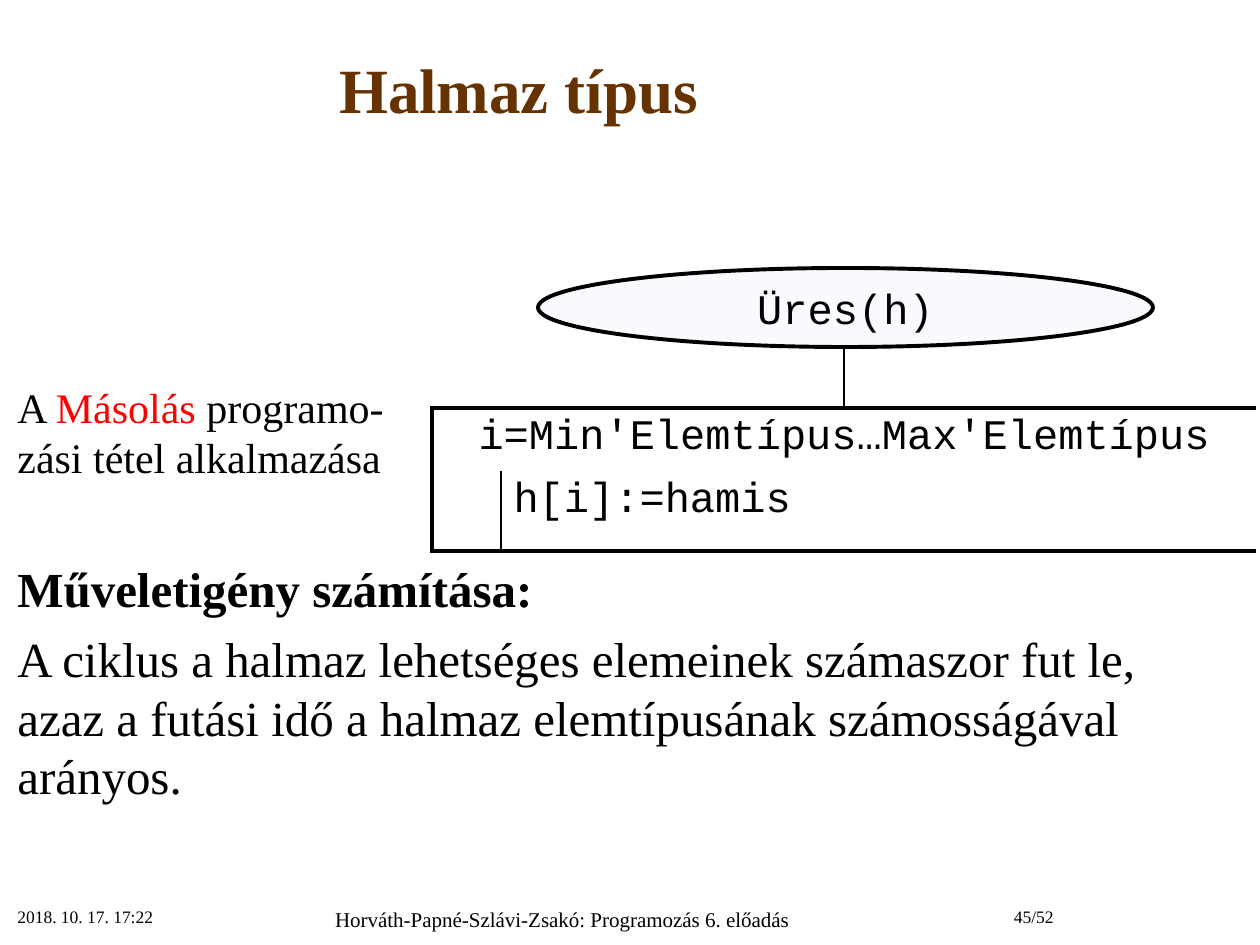
from lxml.etree import SubElement
from pptx import Presentation
from pptx.dml.color import RGBColor
from pptx.enum.shapes import MSO_SHAPE
from pptx.enum.text import MSO_ANCHOR, PP_ALIGN
from pptx.oxml.ns import qn
from pptx.util import Emu, Pt

SCALE = 914400 // 126
SERIF, MONO = "Times New Roman", "Courier New"
BLACK, RED, BROWN = "000000", "FF0000", "663300"
LEFT, CENTER, RIGHT = PP_ALIGN.LEFT, PP_ALIGN.CENTER, PP_ALIGN.RIGHT

TITLE = ("Halmaz típus", (0, 11, 1037, 154), 36, CENTER)
FOOTERS = [
    ("2018. 10. 17. 17:22", (5, 900, 262, 45), 10, LEFT),
    ("Horváth-Papné-Szlávi-Zsakó: Programozás 6. előadás", (267, 900, 591, 45), 12, CENTER),
    ("45/52", (906, 900, 160, 45), 10, RIGHT),
]
BODY_BOX = (5, 375, 1231, 440)
BODY = [
    ([("A ", BLACK), ("Másolás ", RED), ("programo-\vzási tétel alkalmazása", BLACK)], 24, False, 0),
    ([("Műveletigény számítása:", BLACK)], 28, True, 44),
    ([("A ciklus a halmaz lehetséges elemeinek számaszor fut le, azaz a futási idő "
       "a halmaz elemtípusának számosságával arányos.", BLACK)], 28, False, 6),
]
PROCEDURE = ("Üres(h)", (538, 268, 615, 79))
LOOP_ORIGIN = (432, 345)
LOOP_COLUMNS = [69, 343, 412]
LOOP_ROWS = [63, 63, 80]
LOOP_MERGES = [((0, 0), (0, 1)), ((1, 0), (1, 2)), ((2, 1), (2, 2))]
LOOP_TEXTS = {(1, 0): ("i=Min'Elemtípus…Max'Elemtípus", CENTER), (2, 1): ("h[i]:=hamis", LEFT)}
THIN, THICK = 1, 2.25
LOOP_BORDERS = {
    (0, 0): {"R": THIN, "B": THICK},
    (0, 1): {"R": THIN, "B": THICK},
    (0, 2): {"L": THIN, "B": THICK},
    (1, 0): {"L": THICK, "T": THICK},
    (1, 1): {"T": THICK},
    (1, 2): {"T": THICK, "R": THICK},
    (2, 0): {"L": THICK, "R": THIN, "B": THICK},
    (2, 1): {"L": THIN, "B": THICK},
    (2, 2): {"R": THICK, "B": THICK},
}


def px(*lengths):
    return [Emu(length * SCALE) for length in lengths]


def color(value):
    return RGBColor.from_string(value)


def style(font, size, name=SERIF, ink=BLACK, bold=False):
    font.size, font.name, font.bold = Pt(size), name, bold
    font.color.rgb = color(ink)


def add_label(slide, label, ink=BLACK, bold=False, anchor=MSO_ANCHOR.TOP):
    text, box, size, align = label
    frame = slide.shapes.add_textbox(*px(*box)).text_frame
    frame.word_wrap, frame.vertical_anchor = True, anchor
    frame.text = text
    frame.paragraphs[0].alignment = align
    style(frame.paragraphs[0].runs[0].font, size, ink=ink, bold=bold)


def add_body(slide):
    frame = slide.shapes.add_textbox(*px(*BODY_BOX)).text_frame
    frame.word_wrap = True
    for index, (parts, size, bold, gap) in enumerate(BODY):
        paragraph = frame.add_paragraph() if index else frame.paragraphs[0]
        paragraph.text = "".join(text for text, _ in parts) if len(parts) == 1 else ""
        if len(parts) > 1:
            for text, ink in parts:
                for number, line in enumerate(text.split("\v")):
                    if number:
                        paragraph.add_line_break()
                    run = paragraph.add_run()
                    run.text = line
                    style(run.font, size, ink=ink, bold=bold)
        else:
            style(paragraph.runs[0].font, size, ink=parts[0][1], bold=bold)
        paragraph.space_before = Pt(gap)


def set_borders(cell, widths):
    properties = cell._tc.get_or_add_tcPr()
    for position, side in enumerate("LRTB"):
        width = widths.get(side)
        line = properties.makeelement(qn(f"a:ln{side}"), {"w": str(Pt(width or 0))})
        if width:
            SubElement(SubElement(line, qn("a:solidFill")), qn("a:srgbClr"), val=BLACK)
        else:
            SubElement(line, qn("a:noFill"))
        properties.insert(position, line)


def add_loop(slide):
    size = sum(LOOP_COLUMNS), sum(LOOP_ROWS)
    table = slide.shapes.add_table(
        len(LOOP_ROWS), len(LOOP_COLUMNS), *px(*LOOP_ORIGIN, *size)).table
    table.first_row = table.horz_banding = False
    for column, width in zip(table.columns, px(*LOOP_COLUMNS)):
        column.width = width
    for row, height in zip(table.rows, px(*LOOP_ROWS)):
        row.height = height
    for start, end in LOOP_MERGES:
        table.cell(*start).merge(table.cell(*end))
    for place, widths in LOOP_BORDERS.items():
        cell = table.cell(*place)
        cell.fill.background()
        set_borders(cell, widths)
    for place, (text, align) in LOOP_TEXTS.items():
        paragraph = table.cell(*place).text_frame.paragraphs[0]
        paragraph.text, paragraph.alignment = text, align
        style(paragraph.runs[0].font, 24, MONO)


def add_procedure(slide):
    text, box = PROCEDURE
    oval = slide.shapes.add_shape(MSO_SHAPE.OVAL, *px(*box))
    oval.shadow.inherit = False
    oval.fill.solid()
    oval.fill.fore_color.rgb = color("F3E8FE")
    tint = oval._element.spPr.find(qn("a:solidFill")).find(qn("a:srgbClr"))
    SubElement(tint, qn("a:alpha"), val="30000")
    oval.line.color.rgb, oval.line.width = color(BLACK), Pt(THICK)
    frame = oval.text_frame
    frame.text, frame.word_wrap = text, False
    frame.vertical_anchor = MSO_ANCHOR.MIDDLE
    frame.paragraphs[0].alignment = CENTER
    style(frame.paragraphs[0].runs[0].font, 24, MONO)


def main():
    """Build the slide on the empty set operation and its running time."""
    deck = Presentation()
    deck.slide_width, deck.slide_height = px(1260, 945)
    slide = deck.slides.add_slide(deck.slide_layouts[6])
    add_label(slide, TITLE, BROWN, True, MSO_ANCHOR.MIDDLE)
    for footer in FOOTERS:
        add_label(slide, footer)
    add_body(slide)
    add_loop(slide)
    add_procedure(slide)
    deck.save("out.pptx")


if __name__ == "__main__":
    main()
